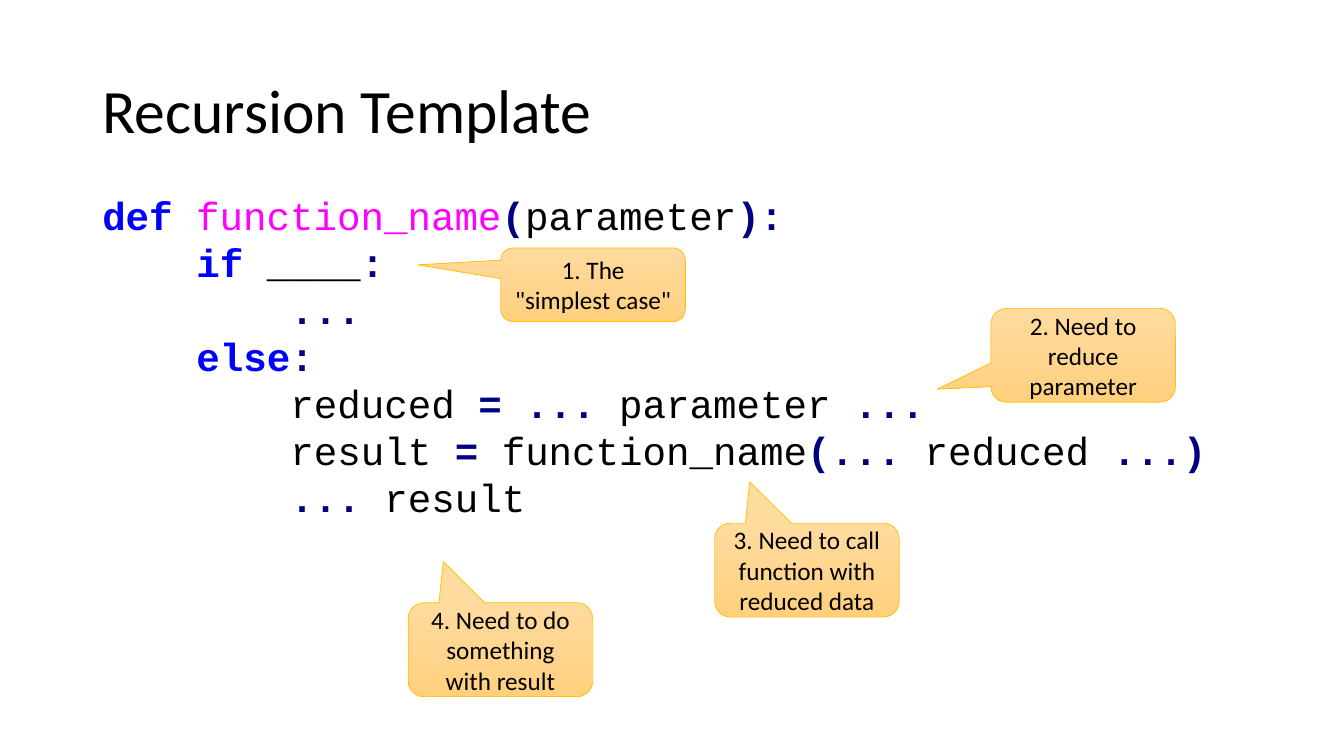
from copy import deepcopy
from pptx import Presentation
from pptx.dml.color import RGBColor
from pptx.enum.shapes import MSO_SHAPE as Preset
from pptx.enum.text import MSO_ANCHOR as Anchor, PP_ALIGN as Align
from pptx.util import Pt

COLORS = {
    "plain": "000000", "keyword": "0000FF", "function": "FF00FF", "symbol": "000080",
    "top": "FFDB9E", "middle": "FFD590", "bottom": "FFD07C", "outline": "FFC000",
}
BOLD = ("keyword", "symbol")

TITLE = "Recursion Template"
CODE = [
    (0, [("def", "keyword"), (" ", "plain"), ("function_name", "function"),
         ("(", "symbol"), ("parameter", "plain"), ("):", "symbol")]),
    (1, [("if", "keyword"), (" ____", "plain"), (":", "symbol")]),
    (2, [("...", "symbol")]),
    (1, [("else", "keyword"), (":", "symbol")]),
    (2, [("reduced ", "plain"), ("=", "symbol"), (" ", "plain"), ("...", "symbol"),
         (" parameter ", "plain"), ("...", "symbol")]),
    (2, [("result ", "plain"), ("=", "symbol"), (" function_name", "plain"),
         ("(...", "symbol"), (" reduced ", "plain"), ("...)", "symbol")]),
    (2, [("...", "symbol"), (" result", "plain")]),
]
CALLOUTS = [
    ("1. The \"simplest case\"", 357.8, 177.1, 52.6, (-0.95, -0.27)),
    ("2. Need to reduce parameter", 707.8, 220.3, 67, (-0.79, 0.36)),
    ("3. Need to call function with reduced data", 510.5, 373.7, 67, (-0.31, -0.94)),
    ("4. Need to do something with result", 291.6, 430.6, 67, (-0.31, -0.94)),
]
CALLOUT_WIDTH = 131.8
CODE_SIZE = 28
INDENT = 4 * 0.6 * CODE_SIZE
CODE_PITCH = 33.6


def rgb(role):
    return RGBColor.from_string(COLORS[role])


def add_run(paragraph, text, size, font="Calibri", role="plain"):
    run = paragraph.add_run()
    run.text = text
    run.font.name = font
    run.font.size = Pt(size)
    run.font.bold = role in BOLD
    run.font.color.rgb = rgb(role)


def add_frame(slide, left, top, width, height, anchor):
    frame = slide.shapes.add_textbox(Pt(left), Pt(top), Pt(width), Pt(height)).text_frame
    frame.word_wrap = True
    frame.vertical_anchor = anchor
    return frame


def add_title(slide):
    heading = add_frame(slide, 66, 28.8, 828, 104.4, Anchor.MIDDLE).paragraphs[0]
    heading.line_spacing = 0.9
    add_run(heading, TITLE, 44)


def add_code(slide):
    listing = add_frame(slide, 66, 133.2, 848, 244.8, Anchor.TOP)
    for number, (level, pieces) in enumerate(CODE):
        code_line = listing.add_paragraph() if number else listing.paragraphs[0]
        code_line.line_spacing = Pt(CODE_PITCH)
        code_line._p.get_or_add_pPr().set("marL", str(Pt(level * INDENT)))
        for text, role in pieces:
            add_run(code_line, text, CODE_SIZE, "Courier New", role)


def shade(fill):
    fill.gradient()
    fill.gradient_angle = 270
    first = fill.gradient_stops[0]._gs
    first.addnext(deepcopy(first))
    for stop, position, role in zip(fill.gradient_stops, (0, 0.5, 1), ("top", "middle", "bottom")):
        stop.position = position
        stop.color.rgb = rgb(role)


def add_callout(slide, text, left, top, height, tip):
    callout = slide.shapes.add_shape(
        Preset.ROUNDED_RECTANGULAR_CALLOUT, Pt(left), Pt(top), Pt(CALLOUT_WIDTH), Pt(height))
    callout.adjustments[0], callout.adjustments[1] = tip
    callout.shadow.inherit = False
    shade(callout.fill)
    callout.line.color.rgb = rgb("outline")
    callout.line.width = Pt(0.5)
    frame = callout.text_frame
    frame.word_wrap = True
    frame.vertical_anchor = Anchor.MIDDLE
    frame.paragraphs[0].alignment = Align.CENTER
    add_run(frame.paragraphs[0], text, 18)


def main():
    deck = Presentation()
    deck.slide_width, deck.slide_height = Pt(960), Pt(540)
    slide = deck.slides.add_slide(deck.slide_layouts[6])
    add_title(slide)
    add_code(slide)
    for callout in CALLOUTS:
        add_callout(slide, *callout)
    deck.save("out.pptx")


if __name__ == "__main__":
    main()
